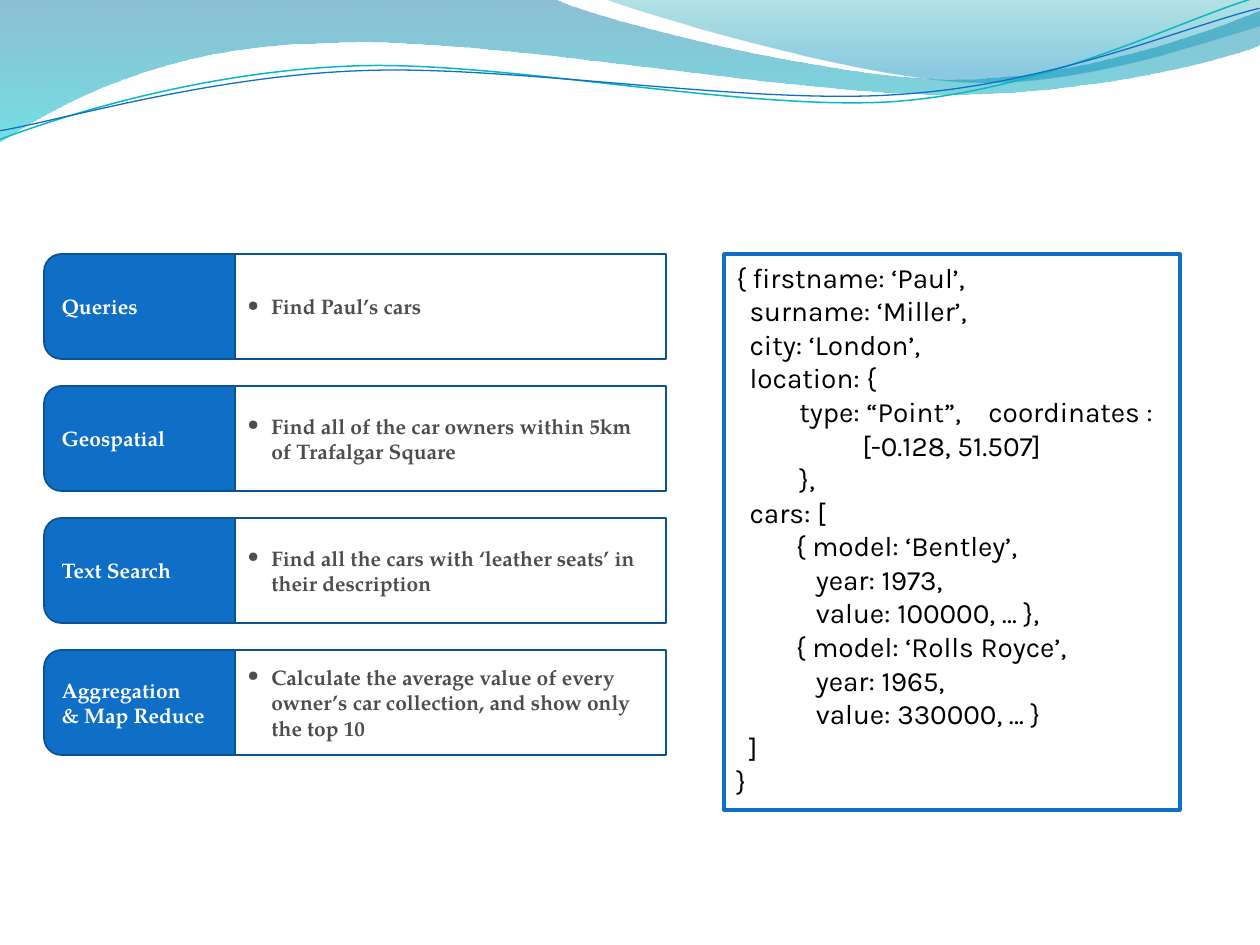
from pptx import Presentation, util as u
from pptx.dml.color import RGBColor
from pptx.enum import shapes, text
from pptx.oxml.ns import qn
from lxml import etree

PX = 914400 / 126
BLUE, DARK_BLUE, TEAL = "0F6FC6", "0B5292", "0AB8BF"
WHITE, GREY, BLACK = "FFFFFF", "4E4C4C", "000000"
HEAD_FONT, CODE_FONT = "TeX Gyre Pagella", "Karla"

# After the start point, a pair is a straight step and six numbers are a cubic curve.
LEFT_WAVE = [(0, 0), (554, -1), (600, 21, 837, 79, 955, 79),
             (1075, 79, 1207, 33, 1260, 11), (1261, 45),
             (1239, 55, 1096, 96, 940, 94), (784, 94, 481, 35, 324, 43),
             (163, 45, 58, 105, -1, 142)]
RIGHT_WAVE = [(604, -1), (641, 14, 859, 78, 969, 82),
              (1079, 87, 1211, 40, 1260, 26), (1260, 0)]
TEAL_CURVE = [(-3, 110), (58, 90, 199, 52, 350, 53),
              (499, 53, 745, 118, 896, 114), (1049, 109, 1184, 45, 1260, 27)]
BLUE_CURVE = [(-2, 101), (57, 94, 207, 57, 357, 58),
              (509, 58, 750, 112, 902, 107), (1052, 104, 1189, 52, 1262, 38)]

FEATURES = [
    (["Queries"], "Find Paul’s cars"),
    (["Geospatial"], "Find all of the car owners within 5km of Trafalgar Square"),
    (["Text Search"], "Find all the cars with ‘leather seats’ in their description"),
    (["Aggregation", "& Map Reduce"],
     "Calculate the average value of every owner’s car collection, "
     "and show only the top 10"),
]

CODE = """{ firstname: ‘Paul’,
  surname: ‘Miller’,
  city: ‘London’,
  location: {
\ttype: “Point”, \tcoordinates :
\t\t[-0.128, 51.507]
\t},
  cars: [
         { model: ‘Bentley’,
            year: 1973,
            value: 100000, … },
         { model: ‘Rolls Royce’,
            year: 1965,
            value: 330000, … }
  ]
}"""


def px(n):
    return u.Emu(round(n * PX))


def rgb(color):
    return RGBColor.from_string(color)


def write(tf, lines, font, size, color, bold=False, bullet=False, tabs=()):
    """Fill a text frame, one paragraph a line; tabs are stops in px."""
    tf.word_wrap = True
    for i, line in enumerate(lines):
        p = tf.paragraphs[0] if i == 0 else tf.add_paragraph()
        p.alignment = text.PP_ALIGN.LEFT
        pPr = p._p.get_or_add_pPr()
        if bullet:
            pPr.set("marL", str(px(24)))
            pPr.set("indent", str(-px(24)))
            etree.SubElement(pPr, qn("a:buFont"), typeface=font)
            etree.SubElement(pPr, qn("a:buChar"), char="•")
        if tabs:
            tab_list = etree.SubElement(pPr, qn("a:tabLst"))
            for stop in tabs:
                etree.SubElement(tab_list, qn("a:tab"), pos=str(px(stop)), algn="l")
        r = p.add_run()
        r.text = line
        r.font.name, r.font.size, r.font.bold = font, u.Pt(size), bold
        r.font.color.rgb = rgb(color)


class Deck:
    def __init__(self):
        self.prs = Presentation()
        self.prs.slide_width, self.prs.slide_height = px(1260), px(945)
        self.s = self.prs.slides.add_slide(self.prs.slide_layouts[6])

    def outline(self, steps, close):
        """Build straight segments, then merge each curve's three into a cubic."""
        builder = self.s.shapes.build_freeform(*steps[0], scale=PX)
        for step in steps[1:]:
            builder.add_line_segments(list(zip(step[::2], step[1::2])), close=False)
        if close:
            builder.add_line_segments([], close=True)
        sp = builder.convert_to_shape()
        sp.shadow.inherit = False
        segments = iter(list(sp._element.iter(qn("a:lnTo"))))
        for step in steps[1:]:
            first = next(segments)
            if len(step) == 6:
                first.tag = qn("a:cubicBezTo")
                for extra in (next(segments), next(segments)):
                    first.append(extra[0])
                    extra.getparent().remove(extra)
        return sp

    def wave(self, steps, stops):
        """Draw a top-to-bottom gradient; stops are (position, colour, opacity %)."""
        sp = self.outline(steps, True)
        sp.line.fill.background()
        sp.fill.gradient()
        sp.fill.gradient_angle = 270
        for stop, (position, color, _) in zip(sp.fill.gradient_stops, stops):
            stop.position = position
            stop.color.rgb = rgb(color)
        for clr, (_, _, opacity) in zip(sp._element.spPr.iter(qn("a:srgbClr")), stops):
            etree.SubElement(clr, qn("a:alpha"), val=str(opacity * 1000))

    def curve(self, steps, color, width):
        sp = self.outline(steps, False)
        sp.rotation = 357.3
        sp.fill.background()
        sp.line.color.rgb, sp.line.width = rgb(color), u.Pt(width)

    def box(self, kind, x, y, w, h, fill, line, width):
        sp = self.s.shapes.add_shape(kind, px(x), px(y), px(w), px(h))
        sp.shadow.inherit = False
        if fill:
            sp.fill.solid()
            sp.fill.fore_color.rgb = rgb(fill)
        else:
            sp.fill.background()
        sp.line.color.rgb, sp.line.width = rgb(line), u.Pt(width)
        return sp

    def feature(self, y, label, detail):
        rounded = shapes.MSO_SHAPE.ROUNDED_RECTANGLE
        sp = self.box(rounded, 44, y, 622, 105, BLUE, DARK_BLUE, 1)
        write(sp.text_frame, label, HEAD_FONT, 12, WHITE, bold=True)
        sp = self.box(rounded, 235, y, 431, 105, WHITE, DARK_BLUE, 1)
        sp.adjustments[0] = 0
        write(sp.text_frame, [detail], HEAD_FONT, 12, GREY, bold=True, bullet=True)

    def code(self, x, y, w, h, source):
        sp = self.box(shapes.MSO_SHAPE.RECTANGLE, x, y, w, h, None, BLUE, 2)
        tf = sp.text_frame
        tf.vertical_anchor = text.MSO_ANCHOR.TOP
        tf.auto_size = text.MSO_AUTO_SIZE.SHAPE_TO_FIT_TEXT
        write(tf, source.split("\n"), CODE_FONT, 16, BLACK, tabs=(63, 126, 252))


def main():
    deck = Deck()
    deck.wave(LEFT_WAVE, [(0, "0074A1", 45), (1, "00C6CF", 55)])
    deck.wave(RIGHT_WAVE, [(0, "00A1A9", 30), (0.8, "008BBF", 45)])
    deck.curve(TEAL_CURVE, TEAL, 0.85)
    deck.curve(BLUE_CURVE, BLUE, 0.75)
    for i, (label, detail) in enumerate(FEATURES):
        deck.feature(254 + 132 * i, label, detail)
    deck.code(724, 254, 456, 556, CODE)
    deck.prs.save("out.pptx")


if __name__ == "__main__":
    main()
